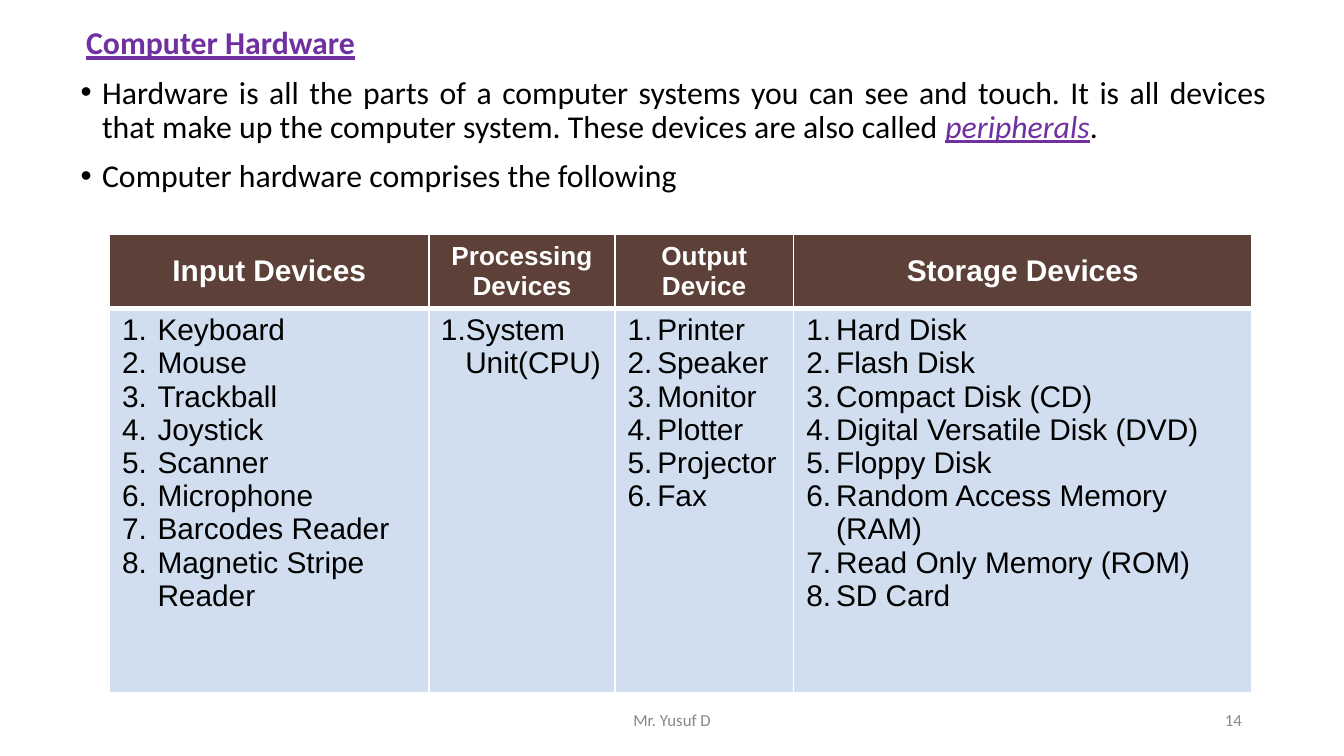
from lxml.etree import SubElement
from pptx import Presentation
from pptx.dml.color import RGBColor
from pptx.enum.text import MSO_ANCHOR, MSO_AUTO_SIZE, PP_ALIGN
from pptx.oxml.ns import qn
from pptx.util import Pt

INK = {"black": "000000", "white": "FFFFFF", "purple": "7030A0",
       "grey": "888888", "brown": "5D4037", "blue": "D0DEEF"}

HEAD = "Computer Hardware"
POINTS = [
    [("Hardware is all the parts of a computer systems you can see and touch. "
      "It is all devices that make up the computer system. "
      "These devices are also called ", {}),
     ("peripherals", {"color": "purple", "italic": True, "line": True}),
     (".", {})],
    [("Computer hardware comprises the following", {})],
]
# heading, heading size, column width, list indent, number hang, items
DEVICES = [
    ("Input Devices", 16, 171.4, 20, 19,
     ["Keyboard", "Mouse", "Trackball", "Joystick", "Scanner", "Microphone",
      "Barcodes Reader", "Magnetic Stripe Reader"]),
    ("Processing Devices", 14, 99.4, 13.5, 13, ["System Unit(CPU)"]),
    ("Output Device", 14, 95.8, 17, 16,
     ["Printer", "Speaker", "Monitor", "Plotter", "Projector", "Fax"]),
    ("Storage Devices", 16, 245.5, 17, 16,
     ["Hard Disk", "Flash Disk", "Compact Disk (CD)",
      "Digital Versatile Disk (DVD)", "Floppy Disk",
      "Random Access Memory (RAM)", "Read Only Memory (ROM)", "SD Card"]),
]
# text, left, width, alignment
NOTES = [("Mr. Yusuf D", 238.5, 243, PP_ALIGN.CENTER),
         ("14", 508.5, 162, PP_ALIGN.RIGHT)]
ROWS = [39, 206]


def write(para, text, size=17, font="Calibri", color="black",
          bold=False, italic=False, line=False):
    run = para.add_run()
    run.text = text
    face = run.font
    face.size, face.name = Pt(size), font
    face.bold, face.italic, face.underline = bold, italic, line
    face.color.rgb = RGBColor.from_string(INK[color])


def paras(frame, count):
    """Return count paragraphs, the first being the one already there."""
    return [frame.paragraphs[0]] + [frame.add_paragraph()
                                    for _ in range(count - 1)]


def mark(para, tag, left, hang=0, **attrs):
    """Set the indent and the bullet (buNone, buChar or buAutoNum)."""
    props = para._p.get_or_add_pPr()
    props.set("marL", str(Pt(left)))
    props.set("indent", str(Pt(-hang)))
    if tag != "buNone":
        tint = SubElement(props, qn("a:buClr"))
        SubElement(tint, qn("a:srgbClr"), val=INK["black"])
        SubElement(props, qn("a:buFont"), typeface="Arial")
    SubElement(props, qn("a:" + tag), **attrs)


def inset(item, side, top=3):
    item.margin_left = item.margin_right = Pt(side)
    item.margin_top = item.margin_bottom = Pt(top)


def paint(cell, fill, **widths):
    """Fill the cell and draw white borders of the given widths."""
    props = cell._tc.get_or_add_tcPr()
    for side in "LRTB":
        edge = SubElement(props, qn("a:ln" + side),
                          w=str(Pt(widths.get(side, 1))))
        solid = SubElement(edge, qn("a:solidFill"))
        SubElement(solid, qn("a:srgbClr"), val=INK["white"])
    cell.fill.solid()
    cell.fill.fore_color.rgb = RGBColor.from_string(INK[fill])
    inset(cell, 5.8)


def add_body(slide):
    body = slide.placeholders[1]
    body.left, body.top, body.width, body.height = map(Pt, (36, 12, 648, 392))
    frame = body.text_frame
    frame.auto_size = MSO_AUTO_SIZE.NONE
    frame.vertical_anchor = MSO_ANCHOR.TOP
    inset(frame, 5.2, 2.7)
    first, *rest = paras(frame, 1 + len(POINTS))
    for para in (first, *rest):
        para.alignment = PP_ALIGN.JUSTIFY
        para.line_spacing = 0.9
        para.space_before = Pt(0 if para is first else 8)
    write(first, HEAD, color="purple", bold=True, line=True)
    mark(first, "buNone", 5)
    for para, parts in zip(rest, POINTS):
        mark(para, "buChar", 13.5, 11.5, char="•")
        for text, style in parts:
            write(para, text, **style)


def add_grid(slide):
    total = sum(item[2] for item in DEVICES)
    grid = slide.shapes.add_table(2, len(DEVICES), Pt(58.6), Pt(125.6),
                                  Pt(total), Pt(sum(ROWS))).table
    for row, height in zip(grid.rows, ROWS):
        row.height = Pt(height)
    for col, (name, size, width, left, hang, items) in enumerate(DEVICES):
        grid.columns[col].width = Pt(width)
        top, cell = grid.cell(0, col), grid.cell(1, col)
        paint(top, "brown", B=3)
        paint(cell, "blue", T=3)
        top.vertical_anchor = MSO_ANCHOR.MIDDLE
        para = top.text_frame.paragraphs[0]
        para.alignment = PP_ALIGN.CENTER
        write(para, name, size=size, font="Arial", color="white", bold=True)
        for para, text in zip(paras(cell.text_frame, len(items)), items):
            mark(para, "buAutoNum", left, hang, type="arabicPeriod")
            write(para, text, size=16, font="Arial")


def add_notes(slide):
    for text, left, width, align in NOTES:
        box = slide.shapes.add_textbox(Pt(left), Pt(375), Pt(width), Pt(21.6))
        frame = box.text_frame
        frame.word_wrap = True
        frame.vertical_anchor = MSO_ANCHOR.MIDDLE
        inset(frame, 5.2, 2.7)
        para = frame.paragraphs[0]
        para.alignment = align
        write(para, text, size=9, color="grey")


def main():
    deck = Presentation()
    deck.slide_width, deck.slide_height = Pt(720), Pt(405)
    slide = deck.slides.add_slide(deck.slide_layouts[1])
    title = slide.shapes.title._element
    title.getparent().remove(title)
    add_body(slide)
    add_notes(slide)
    add_grid(slide)
    deck.save("out.pptx")


if __name__ == "__main__":
    main()
